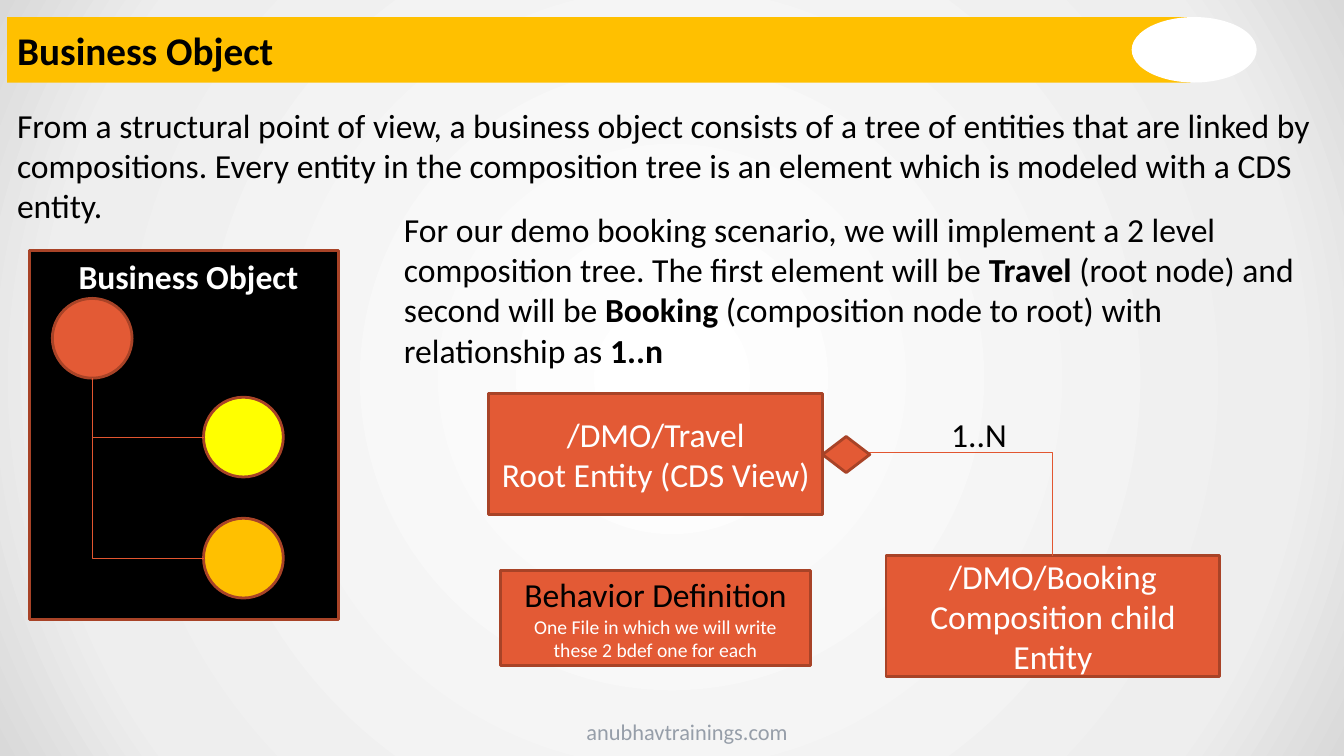
import pptx
import pptx.dml.color
import pptx.enum.shapes
import pptx.enum.text
import pptx.oxml
import pptx.oxml.ns
import pptx.util

Cm = pptx.util.Cm
Pt = pptx.util.Pt
RGBColor = pptx.dml.color.RGBColor
Kind = pptx.enum.shapes.MSO_SHAPE
Align = pptx.enum.text.PP_ALIGN
Anchor = pptx.enum.text.MSO_ANCHOR

BLACK = RGBColor(0x00, 0x00, 0x00)
WHITE = RGBColor(0xFF, 0xFF, 0xFF)
GRAY = RGBColor(0x96, 0x9E, 0xA9)
AMBER = RGBColor(0xFF, 0xC0, 0x00)
YELLOW = RGBColor(0xFF, 0xFF, 0x00)
ORANGE = RGBColor(0xE3, 0x5A, 0x35)
RUST = RGBColor(0xA8, 0x43, 0x27)
LINE_ORANGE = RGBColor(0xE2, 0x56, 0x30)
BACKGROUND_STOPS = [(0, WHITE), (81, RGBColor(0xEE, 0xEE, 0xEE)), (100, RGBColor(0xD9, 0xD9, 0xD9))]


def write(paragraph, text, font="Calibri", size=24, color=BLACK, bold=False, align=Align.LEFT):
    """Append one formatted run to a paragraph."""
    paragraph.alignment = align
    run = paragraph.add_run()
    run.text = text
    run.font.name = font
    run.font.size = Pt(size)
    run.font.color.rgb = color
    run.font.bold = bold


class SlideBuilder:
    def __init__(self, slide):
        self.slide = slide

    def background(self, stops):
        self.slide.background.fill.solid()
        solid = self.slide.element.find(".//" + pptx.oxml.ns.qn("a:solidFill"))
        stop_xml = "".join(
            f'<a:gs pos="{position * 1000}"><a:srgbClr val="{color}"/></a:gs>'
            for position, color in stops
        )
        gradient = pptx.oxml.parse_xml(
            f'<a:gradFill {pptx.oxml.ns.nsdecls("a")} rotWithShape="1"><a:gsLst>{stop_xml}</a:gsLst>'
            '<a:path path="circle"><a:fillToRect l="50000" t="50000" r="50000" b="50000"/></a:path>'
            "</a:gradFill>"
        )
        solid.getparent().replace(solid, gradient)

    def title(self, text, left, top, width, height):
        title = self.slide.shapes.title
        title.left, title.top, title.width, title.height = map(Cm, (left, top, width, height))
        title.fill.solid()
        title.fill.fore_color.rgb = AMBER
        title.text_frame.auto_size = pptx.enum.text.MSO_AUTO_SIZE.NONE
        title.text_frame.vertical_anchor = Anchor.MIDDLE
        write(title.text_frame.paragraphs[0], text, size=28, bold=True)

    def shape(self, kind, left, top, width, height, fill=ORANGE, outline=RUST, lines=()):
        shape = self.slide.shapes.add_shape(kind, *map(Cm, (left, top, width, height)))
        shape.shadow.inherit = False
        shape.fill.solid()
        shape.fill.fore_color.rgb = fill
        if outline is None:
            shape.line.fill.background()
        else:
            shape.line.color.rgb = outline
            shape.line.width = Pt(2)
        frame = shape.text_frame
        frame.vertical_anchor = Anchor.MIDDLE
        for index, (text, style) in enumerate(lines):
            paragraph = frame.add_paragraph() if index else frame.paragraphs[0]
            write(paragraph, text, align=Align.CENTER, **style)

    def text(self, left, top, width, height, runs, **style):
        box = self.slide.shapes.add_textbox(*map(Cm, (left, top, width, height)))
        box.text_frame.word_wrap = True
        for text, bold in runs:
            write(box.text_frame.paragraphs[0], text, bold=bold, **style)

    def elbow(self, start, end, down_first=False):
        """Draw a one-bend connector, going right then down unless down_first."""
        connector = self.slide.shapes.add_connector(
            pptx.enum.shapes.MSO_CONNECTOR.ELBOW, *map(Cm, start + end)
        )
        connector.line.color.rgb = LINE_ORANGE
        connector.line.width = Pt(0.75)
        properties = connector.element.spPr
        properties.append(pptx.oxml.parse_xml(f'<a:effectLst {pptx.oxml.ns.nsdecls("a")}/>'))
        properties.find(pptx.oxml.ns.qn("a:prstGeom")).set("prst", "bentConnector2")
        if down_first:
            # A quarter turn swaps the sides around the same centre
            width, height = end[0] - start[0], end[1] - start[1]
            connector.left = Cm(start[0] + (width - height) / 2)
            connector.top = Cm(start[1] + (height - width) / 2)
            connector.width, connector.height = Cm(height), Cm(width)
            transform = properties.find(pptx.oxml.ns.qn("a:xfrm"))
            transform.set("rot", "16200000")
            transform.set("flipH", "1")


def main():
    presentation = pptx.Presentation()
    presentation.slide_width, presentation.slide_height = Cm(33.87), Cm(19.05)
    slide = presentation.slides.add_slide(presentation.slide_layouts[5])
    builder = SlideBuilder(slide)
    builder.background(BACKGROUND_STOPS)

    # Title bar and footer
    builder.title("Business Object", 0.18, 0.43, 29.82, 1.65)
    builder.shape(Kind.OVAL, 28.52, 0.43, 3.15, 1.65, fill=WHITE, outline=None)
    builder.text(14.53, 17.98, 8.41, 0.94, [("anubhavtrainings.com", False)], size=16, color=GRAY)

    # Explanations
    builder.text(0.18, 2.51, 33.53, 3.33, [(
        "From a structural point of view, a business object consists of a tree of entities "
        "that are linked by compositions. Every entity in the composition tree is an element "
        "which is modeled with a CDS entity.", False)])
    builder.text(9.93, 5.13, 23.19, 4.37, [
        ("For our demo booking scenario, we will implement a 2 level composition tree. "
         "The first element will be ", False),
        ("Travel", True),
        (" (root node) and second will be ", False),
        ("Booking ", True),
        ("(composition node to root) with relationship as ", False),
        ("1..n", True),
    ])

    # Tree of nodes inside the business object
    builder.shape(Kind.RECTANGLE, 0.74, 6.32, 7.8, 9.3, fill=BLACK)
    builder.text(1.73, 6.32, 6.2, 1.27, [("Business Object", True)], color=WHITE)
    node = 2.01
    root_left, root_top, child_left = 1.32, 7.52, 5.13
    builder.shape(Kind.OVAL, root_left, root_top, node, node)
    for child_top, color in ((10.01, YELLOW), (13.06, AMBER)):
        builder.shape(Kind.OVAL, child_left, child_top, node, node, fill=color)
        builder.elbow((root_left + node / 2, root_top + node),
                      (child_left, child_top + node / 2), down_first=True)

    # Entities and their composition
    white = {"color": WHITE}
    entities = [
        (12.32, 9.91, "/DMO/Travel", "Root Entity (CDS View)"),
        (22.33, 14, "/DMO/Booking", "Composition child Entity"),
    ]
    for left, top, name, role in entities:
        builder.shape(Kind.RECTANGLE, left, top, 8.41, 3.05, lines=[(name, white), (role, white)])
    builder.elbow((21.54, 11.4), (26.53, 14))
    builder.shape(Kind.FLOWCHART_DECISION, 20.73, 11, 1.19, 0.91)
    builder.text(23.72, 10.31, 3.99, 1.27, [("1..N", False)])

    # Behavior definition
    builder.shape(Kind.RECTANGLE, 12.62, 14.38, 7.8, 2.39, lines=[
        ("Behavior Definition", {}),
        ("One File in which we will write these 2 bdef one for each", {"size": 14, "color": WHITE}),
    ])

    presentation.save("out.pptx")


if __name__ == "__main__":
    main()
